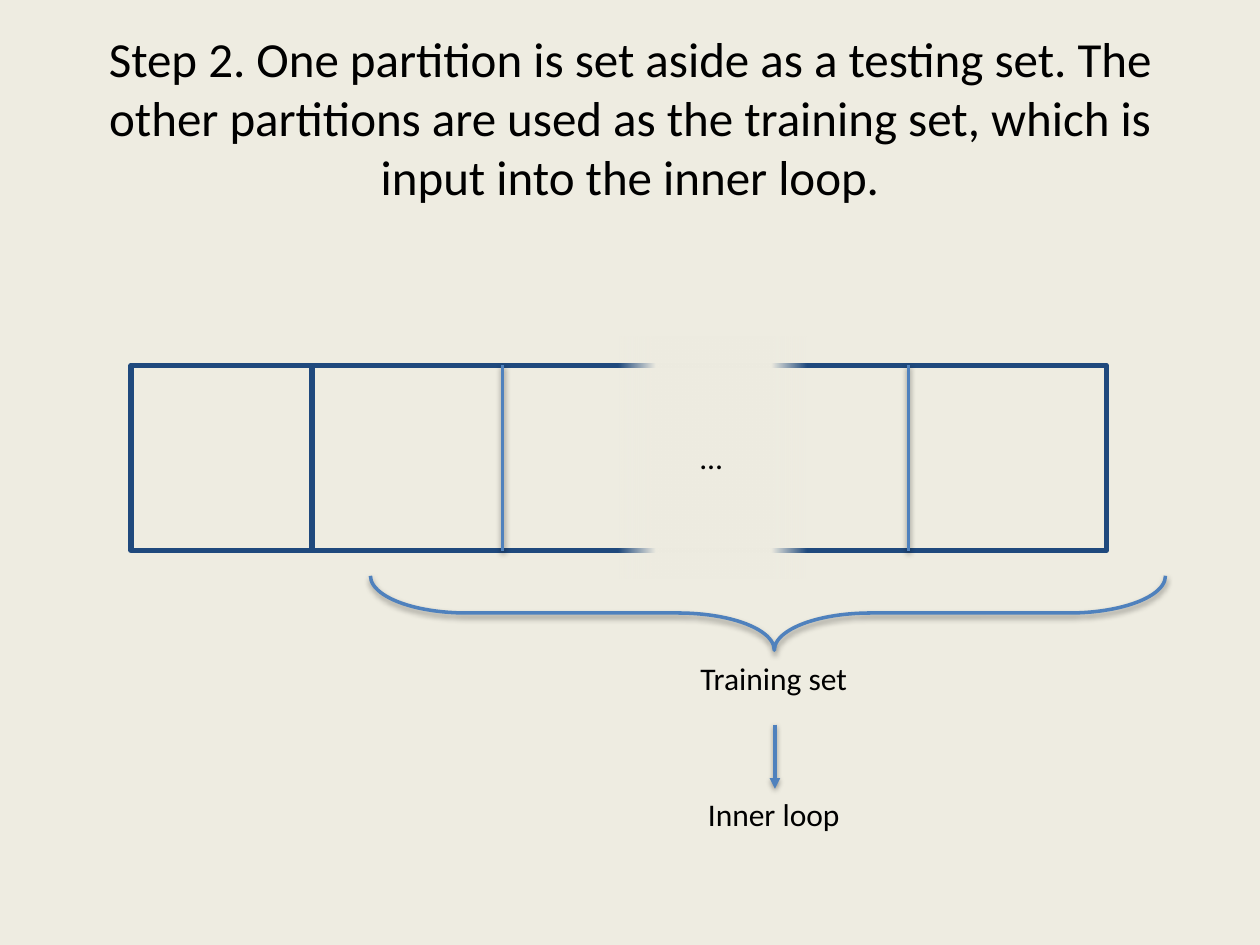
from lxml import etree
from pptx import Presentation
from pptx.dml.color import RGBColor
from pptx.enum.shapes import MSO_CONNECTOR, MSO_SHAPE
from pptx.enum.text import MSO_ANCHOR, PP_ALIGN
from pptx.oxml import parse_xml
from pptx.oxml.ns import qn
from pptx.util import Inches, Pt

RECT, BRACE = MSO_SHAPE.RECTANGLE, MSO_SHAPE.LEFT_BRACE
STRAIGHT = MSO_CONNECTOR.STRAIGHT
LEFT, CENTER = PP_ALIGN.LEFT, PP_ALIGN.CENTER
TOP, MIDDLE = MSO_ANCHOR.TOP, MSO_ANCHOR.MIDDLE
A_NS = "http://schemas.openxmlformats.org/drawingml/2006/main"

THEME = {
    "font": "Calibri", "title": 28, "label": 18, "text": "000000",
    "background": "EEECE1", "outline": "1F497D", "accent": "4F81BD",
    "outline_width": 3, "accent_width": 2,
}

# Content: text, then left, top, width, height in inches
TITLE = ("Step 2. One partition is set aside as a testing set. The other "
         "partitions are used as the training set, which is input into the "
         "inner loop.", (0.5, 0.3, 9, 1.25))
LABELS = [
    ("…", (5.46, 3.43, 0.38, 0.4)),
    ("Training set", (5.46, 5.18, 1.38, 0.4)),
    ("Inner loop", (5.52, 6.26, 1.26, 0.4)),
]
ROW_TOP, ROW_HEIGHT = 2.9, 1.47
TESTING_SPAN, TRAINING_SPAN = (1.04, 1.44), (2.47, 6.31)  # left, width
DIVIDERS = [3.99, 7.21]
FADE_BOX = (4.91, 2.67, 1.49, 1.92)
FADE_STOPS = [(0, 0), (20, 100), (81, 100), (100, 0)]  # position %, opacity %
BRACE_BOX = (5.8, 1.71, 0.59, 6.31)  # before its quarter turn
ARROW_X, ARROW_TOP, ARROW_BOTTOM = 6.15, 5.75, 6.26


def color(key):
    return RGBColor.from_string(THEME[key])


def inches(box):
    return [Inches(value) for value in box]


def add_text(text, box, size, align=LEFT, anchor=TOP, wrap=False):
    frame = slide.shapes.add_textbox(*inches(box)).text_frame
    frame.word_wrap = wrap
    frame.vertical_anchor = anchor
    frame.text = text
    paragraph = frame.paragraphs[0]
    paragraph.alignment = align
    font = paragraph.runs[0].font
    font.name, font.size = THEME["font"], Pt(THEME[size])
    font.color.rgb = color("text")


def set_line(part, role):
    part.line.color.rgb = color(role)
    part.line.width = Pt(THEME[role + "_width"])


def add_shape(kind, box):
    shape = slide.shapes.add_shape(kind, *inches(box))
    shape.shadow.inherit = False
    shape.fill.background()
    return shape


def add_shadow(part):
    properties = part._element.spPr
    for old in properties.findall(qn("a:effectLst")):
        properties.remove(old)
    properties.append(parse_xml(
        f'<a:effectLst xmlns:a="{A_NS}"><a:outerShdw blurRad="40000" '
        'dist="20000" dir="5400000" rotWithShape="0"><a:srgbClr val="000000">'
        '<a:alpha val="38000"/></a:srgbClr></a:outerShdw></a:effectLst>'))


def add_line(x, top, bottom):
    line = slide.shapes.add_connector(STRAIGHT, *inches((x, top, x, bottom)))
    set_line(line, "accent")
    add_shadow(line)
    return line


def fade_sides(shape):
    stops = "".join(
        f'<a:gs pos="{position * 1000}"><a:srgbClr val="{THEME["background"]}">'
        f'<a:alpha val="{opacity * 1000}"/></a:srgbClr></a:gs>'
        for position, opacity in FADE_STOPS)
    gradient = parse_xml(
        f'<a:gradFill xmlns:a="{A_NS}" rotWithShape="1"><a:gsLst>{stops}'
        '</a:gsLst><a:lin ang="0" scaled="0"/></a:gradFill>')
    properties = shape._element.spPr
    properties.replace(properties.find(qn("a:noFill")), gradient)


prs = Presentation()
prs.slide_width, prs.slide_height = Inches(10), Inches(7.5)
slide = prs.slides.add_slide(prs.slide_layouts[6])
slide.background.fill.solid()
slide.background.fill.fore_color.rgb = color("background")

# Title
add_text(*TITLE, "title", CENTER, MIDDLE, wrap=True)

# Testing partition and the row of training partitions
for left, width in (TESTING_SPAN, TRAINING_SPAN):
    set_line(add_shape(RECT, (left, ROW_TOP, width, ROW_HEIGHT)), "outline")
for x in DIVIDERS:
    add_line(x, ROW_TOP, ROW_TOP + ROW_HEIGHT)

# Faded gap for the partitions left out
gap = add_shape(RECT, FADE_BOX)
gap.line.fill.background()
fade_sides(gap)

# Brace under the training set
brace = add_shape(BRACE, BRACE_BOX)
brace.rotation = 270
brace.adjustments[0], brace.adjustments[1] = 1.296, 0.508
set_line(brace, "accent")
add_shadow(brace)

# Arrow into the inner loop
arrow = add_line(ARROW_X, ARROW_TOP, ARROW_BOTTOM)
etree.SubElement(arrow.line._get_or_add_ln(), qn("a:tailEnd"), type="triangle")

# Labels
for text, box in LABELS:
    add_text(text, box, "label")

prs.save("out.pptx")
